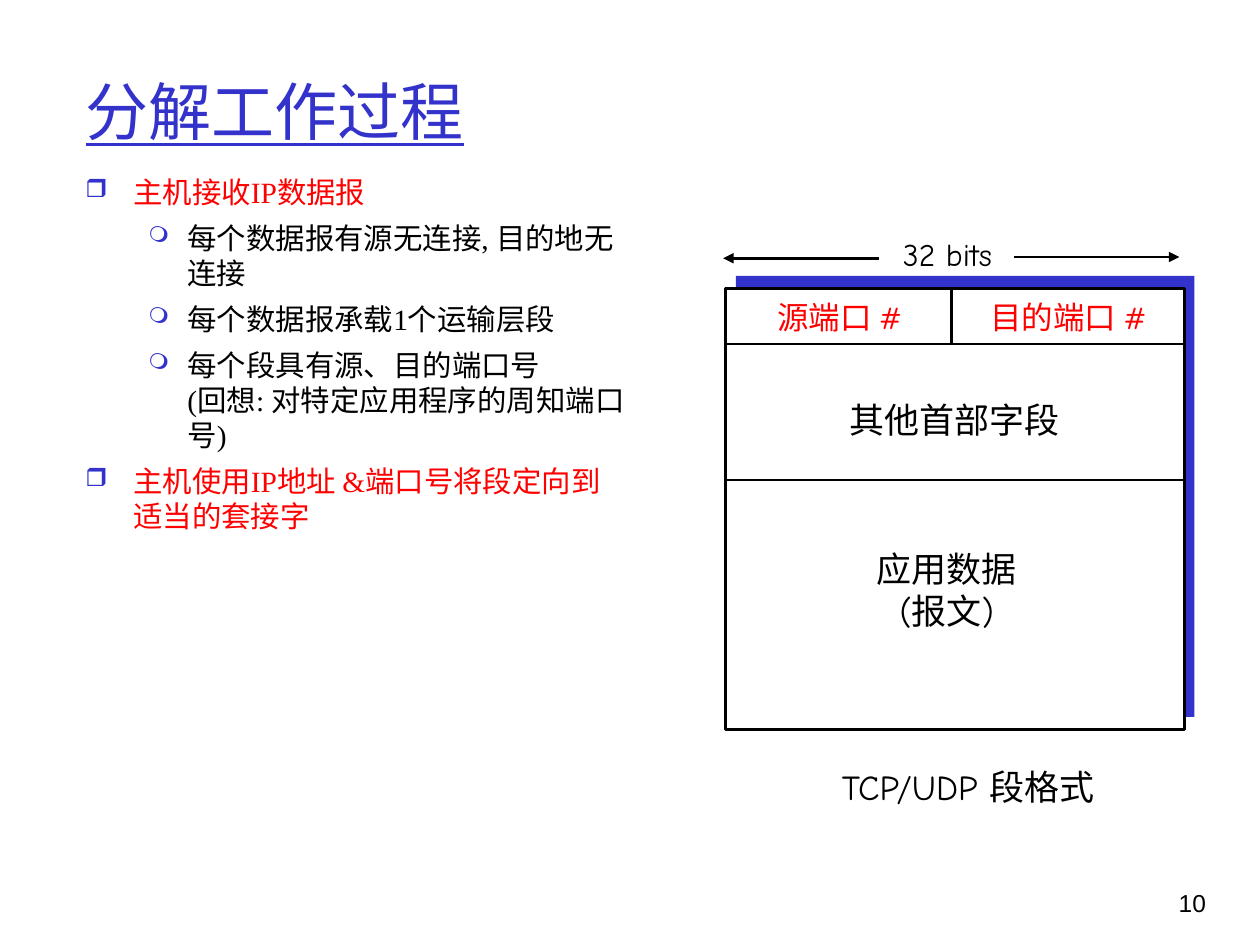
from lxml.etree import SubElement
from pptx import Presentation
from pptx.dml.color import RGBColor
from pptx.enum.shapes import MSO_CONNECTOR, MSO_SHAPE
from pptx.enum.text import MSO_ANCHOR as Anchor, MSO_AUTO_SIZE as AutoSize, PP_ALIGN as Align
from pptx.oxml.ns import qn
from pptx.util import Inches, Pt

BLUE = RGBColor(0x33, 0x33, 0xCC)
RED = RGBColor(0xFF, 0x00, 0x00)
BLACK = RGBColor(0x00, 0x00, 0x00)
WHITE = RGBColor(0xFF, 0xFF, 0xFF)

SERIF, COMIC, SANS = "Times New Roman", "Comic Neue", "Arial"

SEGMENT_LEFT, SEGMENT_TOP, SEGMENT_WIDTH, SEGMENT_HEIGHT = 5.76, 2.29, 3.64, 3.5
SEGMENT_RIGHT = SEGMENT_LEFT + SEGMENT_WIDTH
PORTS_BOTTOM, HEADER_BOTTOM, PORT_DIVIDER = 2.73, 3.81, 7.55

# Per outline level: bullet, bullet size in %, left margin, hanging indent, text colour
LEVELS = [("❒", 85, 0.38, 0.38, RED), ("❍", 75, 0.81, 0.31, BLACK)]
OUTLINE = [
    (0, "主机接收IP数据报"),
    (1, "每个数据报有源无连接, 目的地无连接"),
    (1, "每个数据报承载1个运输层段"),
    (1, "每个段具有源、目的端口号 \v(回想: 对特定应用程序的周知端口号)"),
    (0, "主机使用IP地址 &端口号将段定向到适当的套接字"),
]
# Text, left, top, width, height, size, colour
LABELS = [
    ("源端口 #", 6.04, 2.32, 1.25, 0.4, 18, RED),
    ("目的端口 #", 7.73, 2.32, 1.5, 0.4, 18, RED),
    ("32 bits", 7.02, 1.82, 1, 0.4, 18, BLACK),
    ("应用数据\n(报文)", 6.86, 4.3, 1.31, 0.77, 20, BLACK),
    ("其他首部字段", 6.64, 3.11, 1.87, 0.44, 20, BLACK),
    ("TCP/UDP 段格式", 6.53, 6.03, 2.31, 0.44, 20, BLACK),
]


def format_paragraph(paragraph, color, align=Align.LEFT, **font_values):
    paragraph.alignment = align
    for run in paragraph.runs:
        run.font.color.rgb = color
        for name, value in font_values.items():
            setattr(run.font, name, value)


def add_text(slide, left, top, width, height, wrap=True):
    box = slide.shapes.add_textbox(Inches(left), Inches(top), Inches(width), Inches(height))
    box.text_frame.word_wrap = wrap
    return box.text_frame


def set_title(slide, text):
    title = slide.shapes.title
    place = {"left": 0.58, "top": 0.25, "width": 8.5, "height": 1.25}
    for name, value in place.items():
        setattr(title, name, Inches(value))
    frame = title.text_frame
    frame.text = text
    frame.auto_size = AutoSize.NONE
    frame.vertical_anchor = Anchor.MIDDLE
    format_paragraph(frame.paragraphs[0], BLUE, name=SERIF, size=Pt(36), underline=True)


def set_bullet(paragraph, char, percent, margin, hanging):
    properties = paragraph._p.get_or_add_pPr()
    properties.set("marL", str(Inches(margin)))
    properties.set("indent", str(-Inches(hanging)))
    bullet_color = SubElement(properties, qn("a:buClr"))
    SubElement(bullet_color, qn("a:srgbClr"), val=str(BLUE))
    SubElement(properties, qn("a:buSzPct"), val=str(percent * 1000))
    SubElement(properties, qn("a:buChar"), char=char)


def add_outline(slide):
    frame = add_text(slide, 0.58, 1.33, 4.5, 3.05)
    for index, (level, text) in enumerate(OUTLINE):
        paragraph = frame.add_paragraph() if index else frame.paragraphs[0]
        *bullet, color = LEVELS[level]
        paragraph.text = text
        paragraph.level = level
        paragraph.space_before = Pt(6)
        format_paragraph(paragraph, color, name=SERIF, size=Pt(16.8))
        set_bullet(paragraph, *bullet)


def add_label(slide, text, left, top, width, height, size, color):
    frame = add_text(slide, left, top, width, height, wrap=False)
    frame.auto_size = AutoSize.SHAPE_TO_FIT_TEXT
    frame.text = text
    for paragraph in frame.paragraphs:
        format_paragraph(paragraph, color, Align.CENTER, name=COMIC, size=Pt(size))


def add_box(slide, left, top, fill, outlined):
    box = slide.shapes.add_shape(MSO_SHAPE.RECTANGLE, Inches(left), Inches(top),
                                 Inches(SEGMENT_WIDTH), Inches(SEGMENT_HEIGHT))
    box.shadow.inherit = False
    box.fill.solid()
    box.fill.fore_color.rgb = fill
    if outlined:
        box.line.color.rgb = BLACK
        box.line.width = Pt(1.5)
    else:
        box.line.fill.background()


def add_line(slide, start, end, arrow=False):
    line = slide.shapes.add_connector(MSO_CONNECTOR.STRAIGHT,
                                      *map(Inches, start), *map(Inches, end))
    line.line.color.rgb = BLACK
    line.line.width = Pt(1.5)
    if arrow:
        SubElement(line.line._get_or_add_ln(), qn("a:tailEnd"), type="triangle")
    SubElement(line._element.spPr, qn("a:effectLst"))


def add_segment(slide):
    add_box(slide, SEGMENT_LEFT + 0.08, SEGMENT_TOP - 0.1, BLUE, outlined=False)
    add_box(slide, SEGMENT_LEFT, SEGMENT_TOP, WHITE, outlined=True)
    for row_bottom in (PORTS_BOTTOM, HEADER_BOTTOM):
        add_line(slide, (SEGMENT_LEFT, row_bottom), (SEGMENT_RIGHT, row_bottom))
    add_line(slide, (PORT_DIVIDER, PORTS_BOTTOM), (PORT_DIVIDER, SEGMENT_TOP))
    add_line(slide, (8.05, 2.04), (9.36, 2.04), arrow=True)
    add_line(slide, (6.98, 2.05), (5.74, 2.05), arrow=True)
    for label in LABELS:
        add_label(slide, *label)


def add_page_number(slide, number):
    frame = add_text(slide, 8.93, 7, 0.74, 0.5)
    frame.text = number
    format_paragraph(frame.paragraphs[0], BLACK, Align.RIGHT, name=SANS, size=Pt(14))


def main():
    deck = Presentation()
    deck.slide_width, deck.slide_height = Inches(10), Inches(7.5)
    slide = deck.slides.add_slide(deck.slide_layouts.get_by_name("Title Only"))
    set_title(slide, "分解工作过程")
    add_outline(slide)
    add_segment(slide)
    add_page_number(slide, "10")
    deck.save("out.pptx")


if __name__ == "__main__":
    main()
